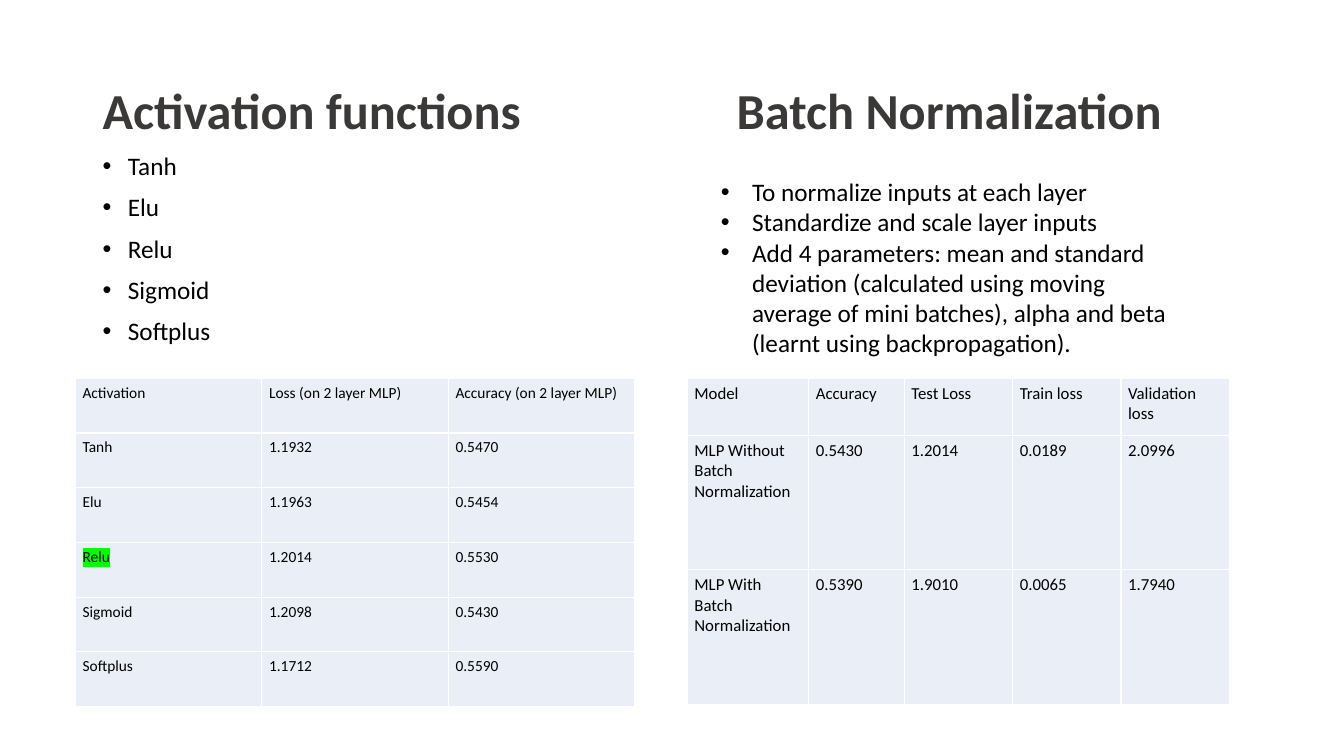
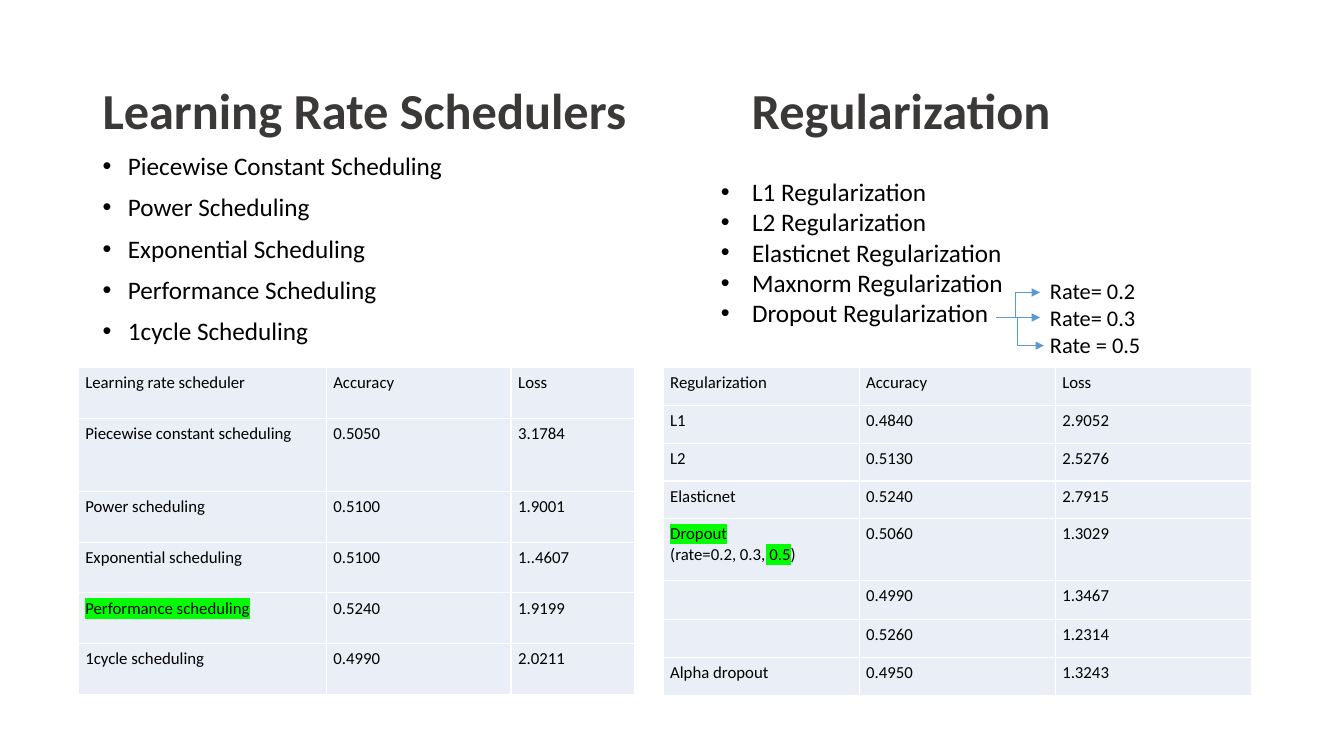
from pptx import Presentation
from pptx.dml.color import RGBColor
from pptx.enum.shapes import MSO_CONNECTOR
from pptx.enum.text import MSO_ANCHOR, MSO_AUTO_SIZE, PP_ALIGN
from pptx.oxml.ns import qn
from pptx.util import Cm, Pt
from lxml.etree import SubElement

FONT = "Calibri"
BLACK = RGBColor(0x00, 0x00, 0x00)
WHITE = RGBColor(0xFF, 0xFF, 0xFF)
TITLE_GREY = RGBColor(0x3B, 0x38, 0x38)
CELL_BLUE = RGBColor(0xEA, 0xEF, 0xF7)
ARROW_BLUE = RGBColor(0x5B, 0x9B, 0xD5)
HIGHLIGHT = RGBColor(0x00, 0xFF, 0x00)

TITLE_BOX = (2.33, 1.01, 29.21, 3.68)
LEFT_BOX = (2.33, 3.75, 14.4, 13.39)
RIGHT_BOX = (17.91, 4.32, 12.29, 4.88)

LEFT_LIST = {"line_spacing": 0.9, "space_before": Pt(10)}
RIGHT_LIST = {"line_spacing": 1.0, "space_before": Pt(0)}
CELL_MARGINS = {"margin_left": Cm(0.18), "margin_right": Cm(0.18),
                "margin_top": Cm(0.13), "margin_bottom": Cm(0.13)}

ACTIVATIONS = [
    ("Activation", "Loss (on 2 layer MLP)", "Accuracy (on 2 layer MLP)"),
    ("Tanh", "1.1932", "0.5470"),
    ("Elu", "1.1963", "0.5454"),
    ("|Relu|", "1.2014", "0.5530"),
    ("Sigmoid", "1.2098", "0.5430"),
    ("Softplus", "1.1712", "0.5590"),
]
NORMALIZATION = [
    ("Model", "Accuracy", "Test Loss", "Train loss", "Validation loss"),
    ("MLP Without Batch Normalization", "0.5430", "1.2014", "0.0189", "2.0996"),
    ("MLP With Batch Normalization", "0.5390", "1.9010", "0.0065", "1.7940"),
]
SCHEDULERS = [
    ("Learning rate scheduler", "Accuracy", "Loss"),
    ("Piecewise constant scheduling", "0.5050", "3.1784"),
    ("Power scheduling", "0.5100", "1.9001"),
    ("Exponential scheduling", "0.5100", "1..4607"),
    ("|Performance scheduling|", "0.5240", "1.9199"),
    ("1cycle scheduling", "0.4990", "2.0211"),
]
REGULARIZATION = [
    ("Regularization", "Accuracy", "Loss"),
    ("L1", "0.4840", "2.9052"),
    ("L2", "0.5130", "2.5276"),
    ("Elasticnet", "0.5240", "2.7915"),
    ("|Dropout|\n(rate=0.2, 0.3,| 0.5|)", "0.5060", "1.3029"),
    ("", "0.4990", "1.3467"),
    ("", "0.5260", "1.2314"),
    ("Alpha dropout", "0.4950", "1.3243"),
]


def set_all(obj, values):
    for name, value in values.items():
        setattr(obj, name, value)


def place(sp, box):
    set_all(sp, dict(zip(("left", "top", "width", "height"), map(Cm, box))))


def add_run(p, text, size, color=BLACK, bold=False):
    r = p.add_run()
    r.text = text
    set_all(r.font, {"name": FONT, "size": Pt(size), "bold": bold})
    r.font.color.rgb = color
    return r


def add_solid_fill(parent, color):
    SubElement(SubElement(parent, qn("a:solidFill")), qn("a:srgbClr"), val=str(color))


def highlight(r):
    fill = r.font.fill._xPr.find(qn("a:solidFill"))
    mark = SubElement(fill.getparent(), qn("a:highlight"))
    SubElement(mark, qn("a:srgbClr"), val=str(HIGHLIGHT))
    fill.addnext(mark)


def fill_paragraphs(tf, lines, size, **formats):
    """Write one paragraph a line; text between bars is highlighted."""
    for i, line in enumerate(lines):
        p = tf.paragraphs[0] if i == 0 else tf.add_paragraph()
        set_all(p, formats)
        for j, text in enumerate(line.split("|")):
            if text or not line:
                r = add_run(p, text, size)
                if j % 2:
                    highlight(r)


def set_title(s, left, right, tab):
    """Write both headings in the title, the right one at a tab stop."""
    place(s.shapes.title, TITLE_BOX)
    tf = s.shapes.title.text_frame
    set_all(tf, {"auto_size": MSO_AUTO_SIZE.NONE, "word_wrap": True,
                 "vertical_anchor": MSO_ANCHOR.MIDDLE})
    p = tf.paragraphs[0]
    set_all(p, {"alignment": PP_ALIGN.LEFT, "line_spacing": 0.9})
    tabs = SubElement(p._p.get_or_add_pPr(), qn("a:tabLst"))
    SubElement(tabs, qn("a:tab"), pos=str(Cm(tab)), algn="l")
    add_run(p, f"{left}\t{right}", 36, TITLE_GREY, bold=True)


def set_list(sp, box, items, indent, formats):
    place(sp, box)
    tf = sp.text_frame
    set_all(tf, {"auto_size": MSO_AUTO_SIZE.NONE, "word_wrap": True})
    fill_paragraphs(tf, items, 18, **formats)
    for p in tf.paragraphs:
        pPr = p._p.get_or_add_pPr()
        pPr.set("marL", str(Cm(indent)))
        pPr.set("indent", str(-Cm(indent)))
        SubElement(pPr, qn("a:buFont"), typeface="Arial")
        SubElement(pPr, qn("a:buChar"), char="•")


def format_cell(cell):
    set_all(cell, CELL_MARGINS)
    tcPr = cell._tc.get_or_add_tcPr()
    for side in ("lnL", "lnR", "lnT", "lnB"):
        add_solid_fill(SubElement(tcPr, qn(f"a:{side}"), w=str(Pt(1))), WHITE)
    cell.fill.solid()
    cell.fill.fore_color.rgb = CELL_BLUE


def add_data_table(s, left, top, widths, heights, rows, size=12, align=PP_ALIGN.LEFT):
    table = s.shapes.add_table(len(rows), len(widths), Cm(left), Cm(top),
                               Cm(sum(widths)), Cm(sum(heights))).table
    set_all(table, {"first_row": False, "horz_banding": False})
    for column, width in zip(table.columns, widths):
        column.width = Cm(width)
    for row, height, texts in zip(table.rows, heights, rows):
        row.height = Cm(height)
        for cell, text in zip(row.cells, texts):
            format_cell(cell)
            fill_paragraphs(cell.text_frame, text.split("\n"), size, alignment=align)


def add_arrow(s, kind, x1, y1, x2, y2):
    arrow = s.shapes.add_connector(kind, Cm(x1), Cm(y1), Cm(x2), Cm(y2))
    arrow.line.color.rgb = ARROW_BLUE
    arrow.line.width = Pt(0.5)
    spPr = arrow._element.spPr
    SubElement(spPr.find(qn("a:ln")), qn("a:tailEnd"), type="triangle")
    SubElement(spPr, qn("a:effectLst"))
    if kind == MSO_CONNECTOR.ELBOW:
        guides = spPr.find(qn("a:prstGeom")).get_or_add_avLst()
        SubElement(guides, qn("a:gd"), name="adj1", fmla="val 6500")


def add_dropout_rates(s):
    stem_y = 8
    add_arrow(s, MSO_CONNECTOR.STRAIGHT, 25.1, stem_y, 26.21, stem_y)
    add_arrow(s, MSO_CONNECTOR.ELBOW, 25.58, stem_y, 26.31, 8.71)
    add_arrow(s, MSO_CONNECTOR.ELBOW, 25.55, stem_y, 26.21, 7.37)
    tf = s.shapes.add_textbox(Cm(26.21), Cm(6.86), Cm(3.12), Cm(2.31)).text_frame
    tf.word_wrap = True
    fill_paragraphs(tf, ["Rate= 0.2", "Rate= 0.3", "Rate = 0.5"], 16)


def add_topic_slide(prs, headings, tab, left_items, right_items):
    s = prs.slides.add_slide(prs.slide_layouts.get_by_name("Two Content"))
    set_title(s, *headings, tab)
    set_list(s.placeholders[1], LEFT_BOX, left_items, 0.64, LEFT_LIST)
    set_list(s.placeholders[2], RIGHT_BOX, right_items, 0.79, RIGHT_LIST)
    return s


def main():
    prs = Presentation()
    set_all(prs, {"slide_width": Cm(33.87), "slide_height": Cm(19.05)})

    s = add_topic_slide(
        prs, ("Activation functions", "Batch Normalization"), 15.98,
        ["Tanh", "Elu", "Relu", "Sigmoid", "Softplus"],
        ["To normalize inputs at each layer",
         "Standardize and scale layer inputs",
         "Add 4 parameters: mean and standard deviation (calculated using moving "
         "average of mini batches), alpha and beta (learnt using backpropagation)."])
    add_data_table(s, 1.9, 9.53, [4.7] * 3, [1.38] * 6, ACTIVATIONS, size=11)
    add_data_table(s, 17.32, 9.53, [3.06, 2.41] + [2.73] * 3, [1.44, 3.39, 3.39],
                   NORMALIZATION)

    s = add_topic_slide(
        prs, ("Learning Rate Schedulers", "Regularization"), 16.36,
        [f"{name} Scheduling" for name in
         ("Piecewise Constant", "Power", "Exponential", "Performance", "1cycle")],
        [f"{name} Regularization" for name in
         ("L1", "L2", "Elasticnet", "Maxnorm", "Dropout")])
    add_data_table(s, 1.97, 9.27, [6.25, 4.66, 3.12], [1.28, 1.83] + [1.28] * 4,
                   SCHEDULERS, align=PP_ALIGN.JUSTIFY)
    add_data_table(s, 16.71, 9.27, [4.94] * 3, [0.95] * 4 + [1.56] + [0.95] * 3,
                   REGULARIZATION, align=PP_ALIGN.JUSTIFY)
    add_dropout_rates(s)

    prs.save("out.pptx")


if __name__ == "__main__":
    main()
